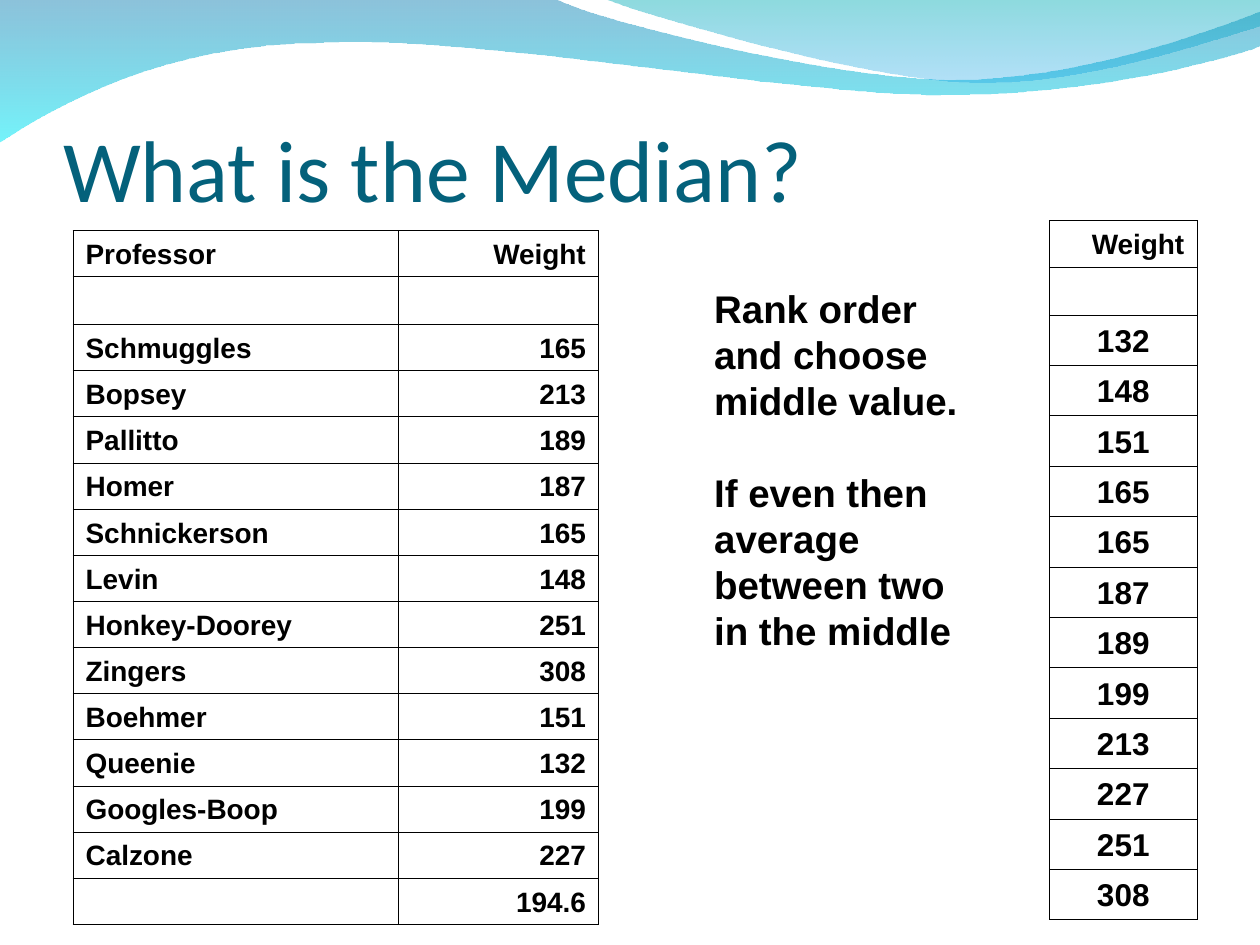
from pptx import Presentation
from pptx.dml.color import RGBColor
from pptx.enum.text import MSO_ANCHOR, MSO_AUTO_SIZE, PP_ALIGN
from pptx.oxml import parse_xml
from pptx.oxml.ns import nsdecls, qn
from pptx.util import Inches, Pt

PROFESSORS = [
    ("Schmuggles", 165), ("Bopsey", 213), ("Pallitto", 189), ("Homer", 187),
    ("Schnickerson", 165), ("Levin", 148), ("Honkey-Doorey", 251), ("Zingers", 308),
    ("Boehmer", 151), ("Queenie", 132), ("Googles-Boop", 199), ("Calzone", 227),
]
LOWER_WAVE = [
    [(0, -0.01)], [(4.4, -0.01)],
    [(4.76, 0.17), (6.64, 0.63), (7.58, 0.63)],
    [(8.53, 0.63), (9.58, 0.26), (10, 0.09)],
    [(10.01, 0.36)],
    [(9.83, 0.44), (8.7, 0.76), (7.46, 0.75)],
    [(6.22, 0.75), (3.82, 0.28), (2.57, 0.34)],
    [(1.29, 0.35), (0.46, 0.83), (-0.01, 1.13)],
]
UPPER_WAVE = [
    [(4.79, -0.01)],
    [(5.09, 0.11), (6.82, 0.62), (7.69, 0.65)],
    [(8.56, 0.69), (9.61, 0.32), (10, 0.21)],
    [(10, 0)],
]


def color(value):
    """Turn a hex string into a colour."""
    return RGBColor.from_string(value)


class SlideBuilder:
    """Holds the style and the current slide."""

    title_font, body_font = "Calibri", "Arial"
    title_color, ink, paper = "04617B", "000000", "FFFFFF"

    def __init__(self, slide):
        """Keep the slide to build on."""
        self.slide = slide

    def style(self, paragraph, size):
        """Apply the bold body style to a paragraph."""
        font = paragraph.font
        font.name, font.size, font.bold = self.body_font, Pt(size), True
        font.color.rgb = color(self.ink)

    def wave(self, segments, stops):
        """Draw a curved band with a translucent vertical gradient."""
        grid = [[(round(x * 100), round(y * 100)) for x, y in segment] for segment in segments]
        first, *rest = [segment[-1] for segment in grid]
        builder = self.slide.shapes.build_freeform(*first, scale=Inches(0.01))
        builder.add_line_segments(rest, close=True)
        band = builder.convert_to_shape()
        self.bend(band, grid)
        band.shadow.inherit = False
        band.line.fill.background()
        band.fill.gradient()
        band.fill.gradient_angle = 270
        for stop, (position, value, _) in zip(band.fill.gradient_stops, stops):
            stop.position = position
            stop.color.rgb = color(value)
        tints = band.element.spPr.iter(qn("a:srgbClr"))
        for tint, (_, _, opacity) in zip(tints, stops):
            tint.append(parse_xml(f'<a:alpha {nsdecls("a")} val="{opacity * 1000}"/>'))

    def bend(self, band, grid):
        """Turn the lines of a band into cubic curves where controls are given."""
        left = min(segment[-1][0] for segment in grid)
        top = min(segment[-1][1] for segment in grid)
        lines = list(band.element.spPr.iter(qn("a:lnTo")))
        for line, segment in zip(lines, grid[1:]):
            if len(segment) == 3:
                points = "".join(f'<a:pt x="{x - left}" y="{y - top}"/>' for x, y in segment)
                line.getparent().replace(line, parse_xml(
                    f'<a:cubicBezTo {nsdecls("a")}>{points}</a:cubicBezTo>'))

    def title(self, text, left, top, width, height):
        """Place and format the title placeholder."""
        title = self.slide.shapes.title
        title.left, title.top = Inches(left), Inches(top)
        title.width, title.height = Inches(width), Inches(height)
        frame = title.text_frame
        frame.text = text
        frame.auto_size = MSO_AUTO_SIZE.NONE
        frame.vertical_anchor = MSO_ANCHOR.BOTTOM
        frame.margin_left = frame.margin_right = frame.margin_bottom = 0
        paragraph = frame.paragraphs[0]
        paragraph.alignment = PP_ALIGN.LEFT
        font = paragraph.font
        font.name, font.size = self.title_font, Pt(50)
        font.color.rgb = color(self.title_color)

    def text(self, paragraphs, left, top, width, height, size, gap):
        """Add a wrapped text box with spaced paragraphs."""
        box = self.slide.shapes.add_textbox(
            Inches(left), Inches(top), Inches(width), Inches(height))
        frame = box.text_frame
        frame.word_wrap = True
        for index, text in enumerate(paragraphs):
            paragraph = frame.add_paragraph() if index else frame.paragraphs[0]
            paragraph.text = text
            if index:
                paragraph.space_before = Pt(gap)
            self.style(paragraph, size)

    def border(self, cell):
        """Draw thin lines on all sides of a cell."""
        properties = cell._tc.get_or_add_tcPr()
        for index, side in enumerate(("lnL", "lnR", "lnT", "lnB")):
            properties.insert(index, parse_xml(
                f'<a:{side} {nsdecls("a")} w="{Pt(0.45)}"><a:solidFill>'
                f'<a:srgbClr val="{self.ink}"/></a:solidFill></a:{side}>'))

    def table(self, rows, left, top, widths, heights, cell_style):
        """Add a ruled table; cell_style gives size and alignment by row and column."""
        table = self.slide.shapes.add_table(
            len(rows), len(widths), Inches(left), Inches(top),
            Inches(sum(widths)), Inches(sum(heights))).table
        table.first_row = table.horz_banding = False
        for column, width in zip(table.columns, widths):
            column.width = Inches(width)
        for row_index, (values, height) in enumerate(zip(rows, heights)):
            table.rows[row_index].height = Inches(height)
            for column_index, value in enumerate(values):
                cell = table.cell(row_index, column_index)
                cell.fill.solid()
                cell.fill.fore_color.rgb = color(self.paper)
                cell.vertical_anchor = MSO_ANCHOR.BOTTOM
                self.border(cell)
                size, alignment = cell_style(row_index, column_index)
                paragraph = cell.text_frame.paragraphs[0]
                if value != "":
                    paragraph.text = str(value)
                paragraph.alignment = alignment
                self.style(paragraph, size)


def professor_style(row, column):
    """Align names left and weights right."""
    return 16, PP_ALIGN.RIGHT if column else PP_ALIGN.LEFT


def ranking_style(row, column):
    """Centre the larger ranked weights under a right-aligned heading."""
    return (18, PP_ALIGN.CENTER) if row > 1 else (16, PP_ALIGN.RIGHT)


def main():
    """Build the median slide."""
    deck = Presentation()
    deck.slide_width, deck.slide_height = Inches(10), Inches(7.5)
    page = SlideBuilder(deck.slides.add_slide(deck.slide_layouts[5]))
    page.wave(LOWER_WAVE, [(0, "0079AF", 45), (1, "00EBF8", 55)])
    page.wave(UPPER_WAVE, [(0, "00ADB6", 45), (1, "009BE5", 30)])
    page.title("What is the Median?", 0.5, 0.5, 9, 1.25)

    professors = [("Professor", "Weight"), ("", ""), *PROFESSORS, ("", "194.6")]
    row_height = 5.13 / (len(professors) - 1)
    page.table(professors, 0.58, 1.83, [2.58, 1.59],
               [row_height, 0.38] + [row_height] * (len(professors) - 2), professor_style)

    ranked = sorted(weight for _, weight in PROFESSORS)
    ranking = [("Weight",), ("",), *((weight,) for weight in ranked)]
    page.table(ranking, 8.33, 1.75, [1.17],
               [0.37, 0.38] + [0.4] * len(ranked), ranking_style)

    page.text(["Rank order and choose middle value.",
               "If even then average between two in the middle"],
              5.57, 2.21, 2.27, 3.04, size=22, gap=26)
    deck.save("out.pptx")


if __name__ == "__main__":
    main()
